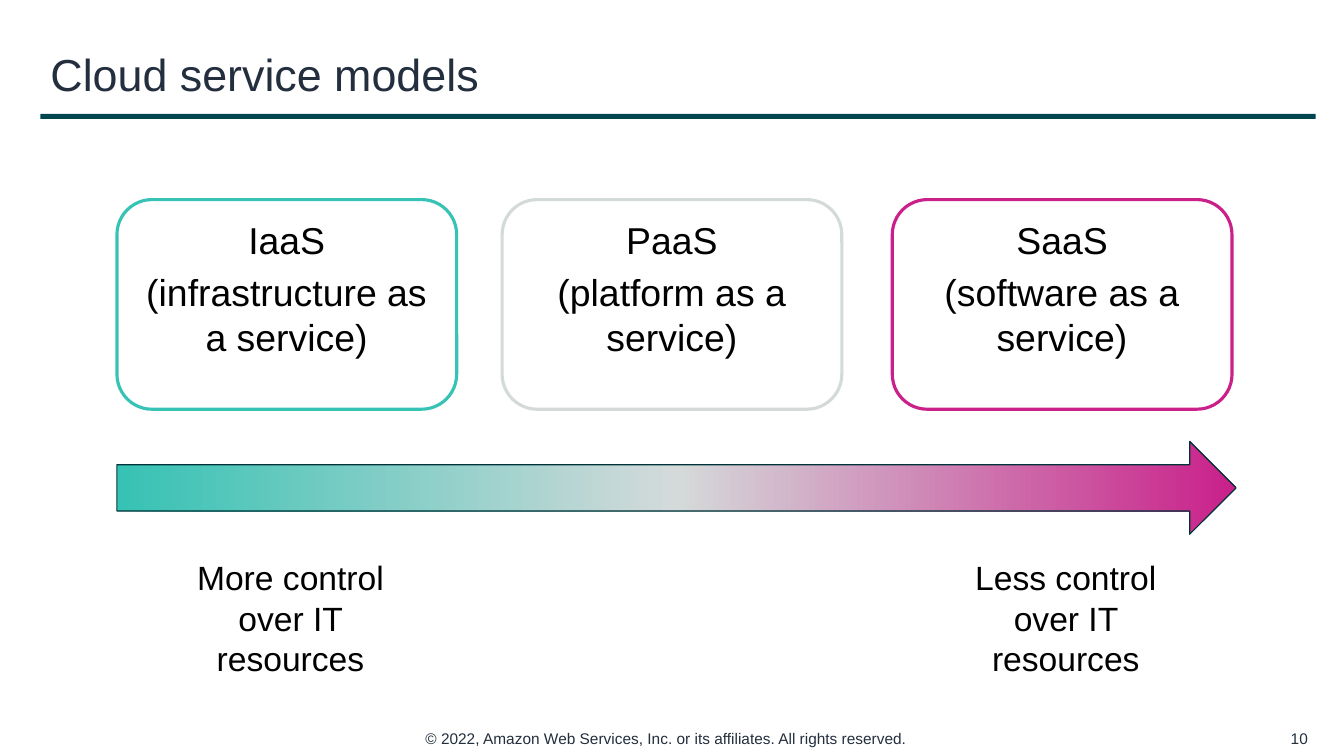
import copy

import pptx
import pptx.dml.color
import pptx.enum.shapes
import pptx.enum.text
import pptx.util

RGBColor = pptx.dml.color.RGBColor
Shape = pptx.enum.shapes.MSO_SHAPE
Align = pptx.enum.text.PP_ALIGN
Anchor = pptx.enum.text.MSO_ANCHOR
Pt = pptx.util.Pt
Inches = pptx.util.Inches

WIDTH, HEIGHT = Inches(13.33), Inches(7.5)
INK = RGBColor(0x23, 0x2F, 0x3E)
BLACK = RGBColor(0, 0, 0)
WHITE = RGBColor(255, 255, 255)
RULE = RGBColor(0x00, 0x46, 0x4F)
ARROW_EDGE = RGBColor(0x00, 0x33, 0x39)
TEAL = RGBColor(0x36, 0xC2, 0xB4)
GREY = RGBColor(0xD4, 0xDA, 0xDA)
MAGENTA = RGBColor(0xC9, 0x20, 0x8A)

# Name, meaning, outline colour, left edge in percent of the slide's width
MODELS = [
    ("IaaS", "(infrastructure as a service)", TEAL, 8.7),
    ("PaaS", "(platform as a service)", GREY, 37.36),
    ("SaaS", "(software as a service)", MAGENTA, 66.39),
]
CARD_WIDTH = 25.28
LABEL_INDENT = 2.48
LABELS = [
    ("More control\nover IT resources", MODELS[0][3]),
    ("Less control\nover IT resources", MODELS[-1][3]),
]

TITLE = {"size": Pt(32), "color": INK}
FOOTER = {"size": Pt(11), "color": INK}
CARD = {"size": Pt(26.7), "color": BLACK}
LABEL = {"size": Pt(24), "color": BLACK}


def area(left, top, width, height):
    """Turn percentages of the slide's size into lengths."""
    return [round(share * side / 100) for share, side in
            zip((left, top, width, height), (WIDTH, HEIGHT) * 2)]


def write(box, lines, style, align=Align.LEFT, anchor=Anchor.TOP,
          insets=(0.1, 0.05), gap=0):
    frame = box.text_frame
    across, down = map(Inches, insets)
    layout = {"word_wrap": True, "vertical_anchor": anchor,
              "margin_left": across, "margin_right": across,
              "margin_top": down, "margin_bottom": down}
    for name, value in layout.items():
        setattr(frame, name, value)
    for index, line in enumerate(lines):
        para = frame.add_paragraph() if index else frame.paragraphs[0]
        para.text = line
        para.alignment = align
        para.space_before = Pt(gap if index else 0)
        for span in para.runs:
            span.font.name = "Arial"
            span.font.size = style["size"]
            span.font.color.rgb = style["color"]


def add_text(page, place, lines, style, **options):
    write(page.shapes.add_textbox(*area(*place)), lines, style, **options)


def add_shape(page, kind, place, fill=None, edge=None, weight=0):
    shape = page.shapes.add_shape(kind, *area(*place))
    shape.shadow.inherit = False
    if fill is not None:
        shape.fill.solid()
        shape.fill.fore_color.rgb = fill
    if edge is None:
        shape.line.fill.background()
    else:
        shape.line.color.rgb = edge
        shape.line.width = Pt(weight)
    return shape


def add_title(page, text):
    title = page.shapes.title
    title.left, title.top, title.width, title.height = area(3, 4.4, 94.9, 10.67)
    write(title, [text], TITLE, anchor=Anchor.MIDDLE)


def add_card(page, name, meaning, colour, left):
    card = add_shape(page, Shape.ROUNDED_RECTANGLE,
                     (left, 26.4, CARD_WIDTH, 27.73), WHITE, colour, 2.25)
    card.adjustments[0] = 0.167
    write(card, [name, meaning], CARD, Align.CENTER,
          insets=(0.13, 0.07), gap=5.3)


def add_control_arrow(page, colours):
    """Draw the arrow, its gradient running evenly through the colours."""
    arrow = add_shape(page, Shape.RIGHT_ARROW, (8.7, 58.4, 83.27, 12.27),
                      edge=ARROW_EDGE, weight=0.85)
    arrow.fill.gradient()
    arrow.fill.gradient_angle = 0
    stop_list = arrow.fill._fill._gradFill.gsLst
    stop_list.insert(1, copy.deepcopy(stop_list[0]))
    for index, (stop, colour) in enumerate(
            zip(arrow.fill.gradient_stops, colours)):
        stop.position = index / (len(colours) - 1)
        stop.color.rgb = colour


def main():
    deck = pptx.Presentation()
    deck.slide_width, deck.slide_height = WIDTH, HEIGHT
    page = deck.slides.add_slide(deck.slide_layouts[5])

    add_title(page, "Cloud service models")
    add_shape(page, Shape.RECTANGLE, (3, 15.07, 94.9, 0.67), RULE)
    for model in MODELS:
        add_card(page, *model)
    add_control_arrow(page, [TEAL, GREY, MAGENTA])
    for text, left in LABELS:
        add_text(page, (left + LABEL_INDENT, 73.07, 20.86, 12.13), [text],
                 LABEL, align=Align.CENTER)
    add_text(page, (30.91, 95.73, 38.18, 3.87),
             ["© 2022, Amazon Web Services, Inc. or its affiliates. "
              "All rights reserved."], FOOTER)
    add_text(page, (94.07, 95.73, 3.98, 3.87), ["10"], FOOTER,
             align=Align.RIGHT, anchor=Anchor.MIDDLE)

    deck.save("out.pptx")


if __name__ == "__main__":
    main()
